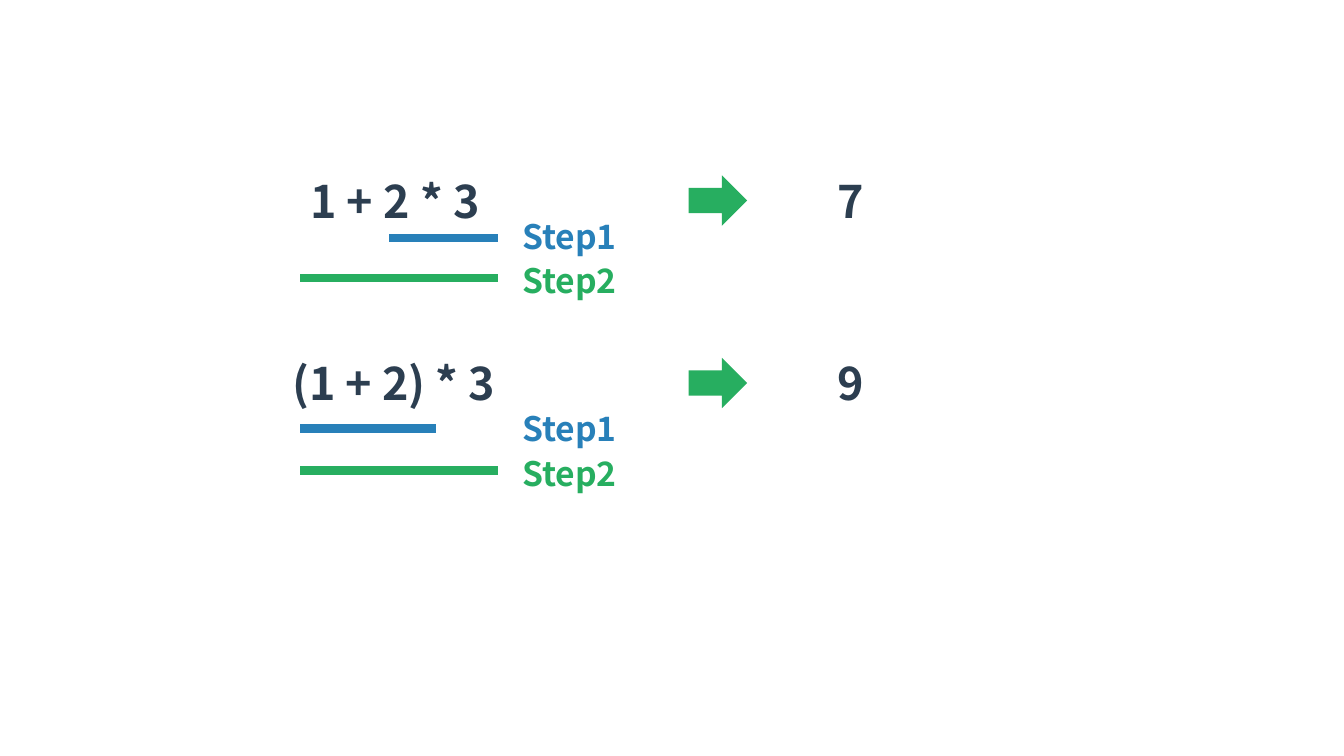
from dataclasses import dataclass

from lxml.etree import SubElement
from pptx import Presentation
from pptx.dml.color import RGBColor
from pptx.enum.shapes import MSO_CONNECTOR, MSO_SHAPE
from pptx.enum.text import MSO_AUTO_SIZE
from pptx.oxml.ns import qn
from pptx.slide import Slide
from pptx.util import Inches, Pt

FONT = "Noto Sans CJK JP"
INK, BLUE, GREEN = "2C3E50", "2880B9", "27AE60"
STEP_LEFT, ARROW_LEFT, RESULT_LEFT = 5.08, 6.83, 8.21
ARROW_DROP = 0.07  # arrow top below the expression's top


@dataclass(frozen=True)
class Step:
    """One evaluation step: its label and the underline of what it evaluates."""
    label: str
    color: str
    label_top: float
    start: float
    end: float
    line_y: float


@dataclass(frozen=True)
class Example:
    """An expression, its steps and its result."""
    expression: str
    left: float
    top: float
    width: float
    result: str
    steps: tuple[Step, ...]


EXAMPLES = (
    Example("1 + 2 * 3", 2.98, 1.67, 2.05, "7", (
        Step("Step1", BLUE, 2.09, 3.86, 4.94, 2.36),
        Step("Step2", GREEN, 2.53, 2.98, 4.94, 2.76),
    )),
    Example("(1 + 2) * 3", 2.8, 3.48, 2.41, "9", (
        Step("Step1", BLUE, 4.0, 2.98, 4.32, 4.25),
        Step("Step2", GREEN, 4.44, 2.98, 4.94, 4.67),
    )),
)


def rgb(color: str) -> RGBColor:
    """Turn a hex string into a colour."""
    return RGBColor.from_string(color)


def add_text(slide: Slide, text: str, *, left: float, top: float, width: float,
             height: float = 0.64, size: float = 32, color: str = INK) -> None:
    """Add a bold, unwrapped line of text."""
    box = slide.shapes.add_textbox(Inches(left), Inches(top), Inches(width), Inches(height))
    frame = box.text_frame
    frame.word_wrap = False
    frame.auto_size = MSO_AUTO_SIZE.SHAPE_TO_FIT_TEXT
    run = frame.paragraphs[0].add_run()
    run.text = text
    run.font.name, run.font.size, run.font.bold = FONT, Pt(size), True
    run.font.color.rgb = rgb(color)


def draw_step(slide: Slide, step: Step) -> None:
    """Draw a step's underline and label."""
    y = Inches(step.line_y)
    underline = slide.shapes.add_connector(
        MSO_CONNECTOR.STRAIGHT, Inches(step.start), y, Inches(step.end), y)
    underline.line.color.rgb = rgb(step.color)
    underline.line.width = Pt(6)
    SubElement(underline._element.spPr, qn("a:effectLst"))
    add_text(slide, step.label, left=STEP_LEFT, top=step.label_top, width=1.15,
             height=0.5, size=24, color=step.color)


def draw_arrow(slide: Slide, top: float) -> None:
    """Draw the arrow that leads to a result."""
    arrow = slide.shapes.add_shape(
        MSO_SHAPE.RIGHT_ARROW, Inches(ARROW_LEFT), Inches(top), Inches(0.58), Inches(0.5))
    arrow.shadow.inherit = False
    arrow.fill.solid()
    arrow.fill.fore_color.rgb = rgb(GREEN)
    arrow.line.fill.background()


def draw_example(slide: Slide, example: Example) -> None:
    """Draw an expression with its steps, arrow and result."""
    add_text(slide, example.expression, left=example.left, top=example.top,
             width=example.width)
    for step in example.steps:
        draw_step(slide, step)
    draw_arrow(slide, example.top + ARROW_DROP)
    add_text(slide, example.result, left=RESULT_LEFT, top=example.top, width=0.46)


def main() -> None:
    """Build and save the slide."""
    presentation = Presentation()
    presentation.slide_width, presentation.slide_height = Inches(13.33), Inches(7.5)
    slide = presentation.slides.add_slide(presentation.slide_layouts[6])
    for example in EXAMPLES:
        draw_example(slide, example)
    presentation.save("out.pptx")


main()
